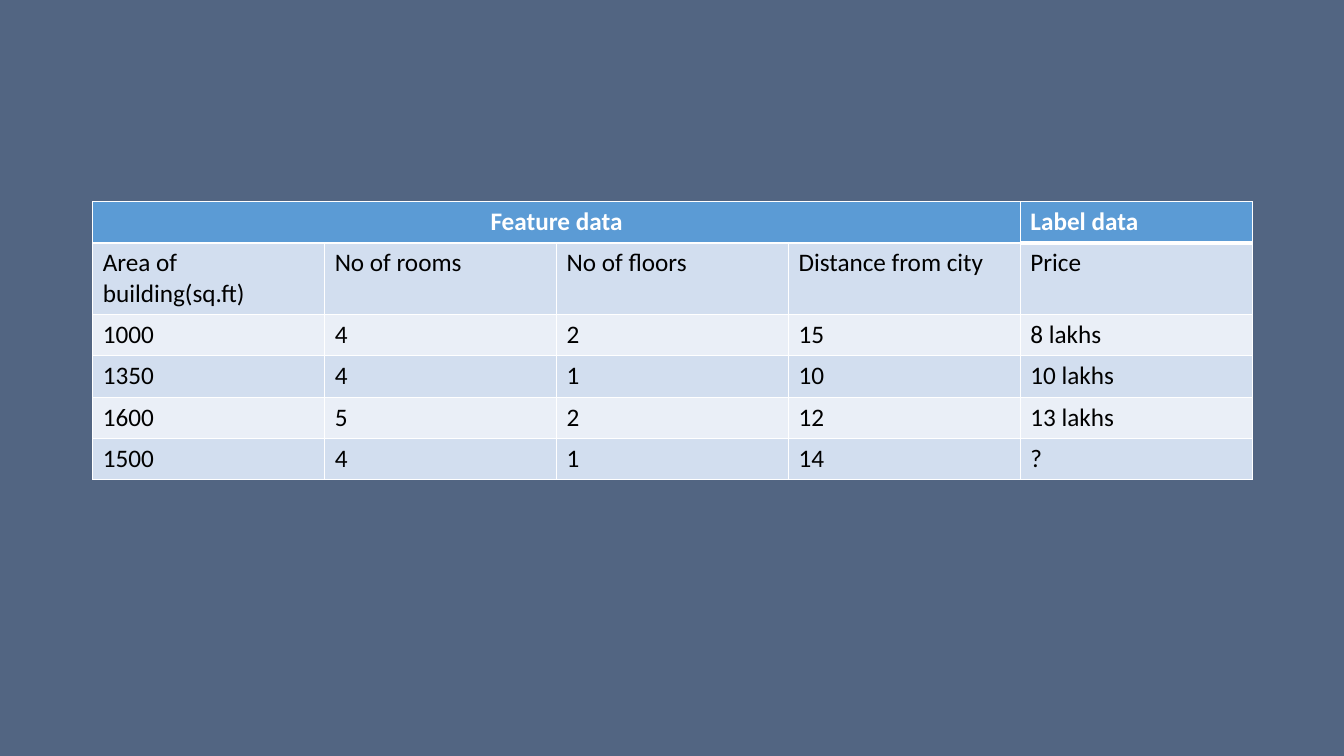
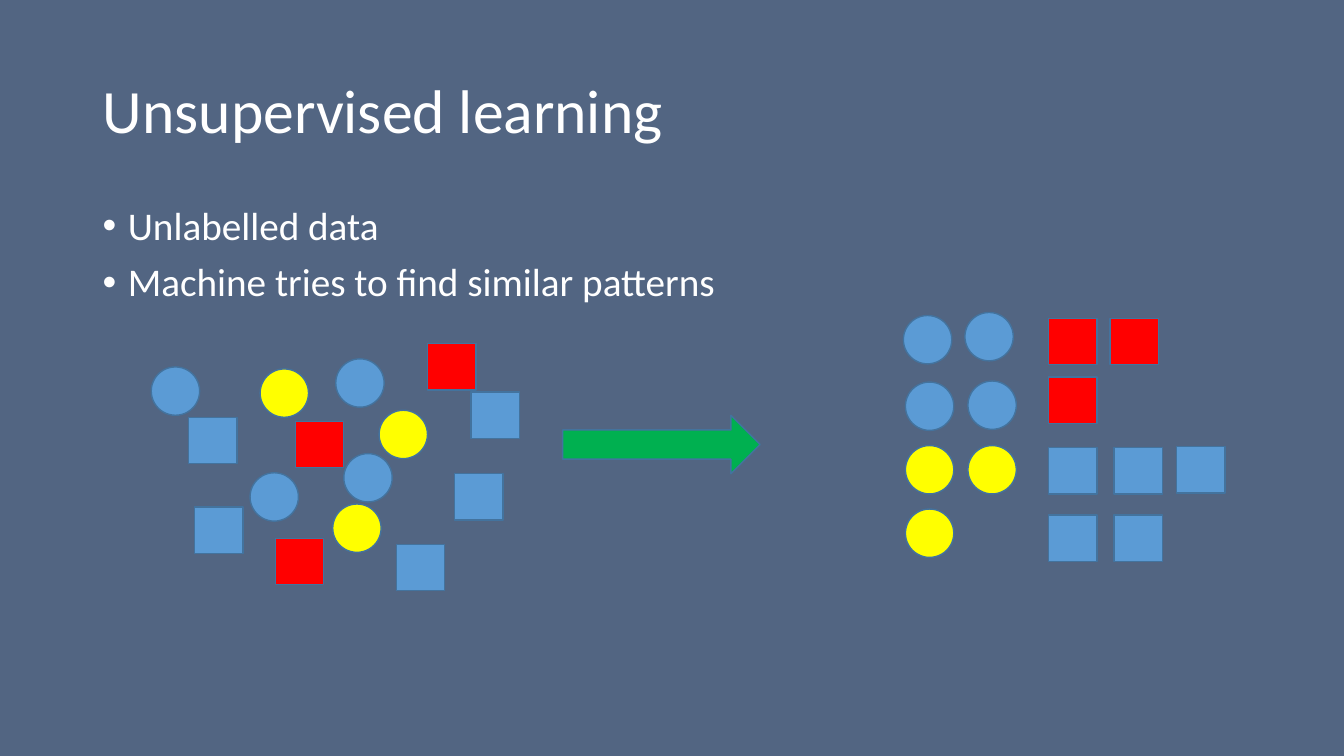
"""Build two slides on labelled and unlabelled data."""
import pptx
import pptx.dml.color
import pptx.enum.shapes
import pptx.enum.text
import pptx.oxml
import pptx.oxml.ns
import pptx.util

Inches = pptx.util.Inches
Pt = pptx.util.Pt
Shape = pptx.enum.shapes.MSO_SHAPE
Align = pptx.enum.text.PP_ALIGN
Anchor = pptx.enum.text.MSO_ANCHOR

FONT = "Calibri"
BACKGROUND, WHITE, BLACK = "526582", "FFFFFF", "000000"
BLUE, YELLOW, RED, GREEN, OUTLINE = "5B9BD5", "FFFF00", "FF0000", "00B050", "43739E"
BANDS = ("EAEFF7", "D2DEEF")
LEFT, WIDTH = 0.92, 11.5
TITLE_ONLY, BLANK = 5, 6

TABLE_ROWS = [
    ["Feature data", "", "", "", "Label data"],
    ["Area of building(sq.ft)", "No of rooms", "No of floors", "Distance from city", "Price"],
    ["1000", "4", "2", "15", "8 lakhs"],
    ["1350", "4", "1", "10", "10 lakhs"],
    ["1600", "5", "2", "12", "13 lakhs"],
    ["1500", "4", "1", "14", "?"],
]
CIRCLE, SQUARE = (Shape.OVAL, 0.48, 0.48), (Shape.RECTANGLE, 0.48, 0.46)
MIXED_ITEMS = [
    (CIRCLE, BLUE, [(1.5, 3.64), (3.33, 3.56), (2.48, 4.69), (3.41, 4.5)]),
    (CIRCLE, YELLOW, [(2.58, 3.66), (3.76, 4.07), (3.3, 5)]),
    (SQUARE, RED, [(4.24, 3.41), (2.93, 4.18), (2.73, 5.34)]),
    (SQUARE, BLUE, [(4.67, 3.89), (3.93, 5.4), (1.93, 5.03), (1.87, 4.14), (4.51, 4.7)]),
]
GROUPED_ITEMS = [
    (CIRCLE, BLUE, [(8.96, 3.13), (9.57, 3.1), (8.98, 3.79), (9.6, 3.78)]),
    (CIRCLE, YELLOW, [(8.98, 4.42), (9.6, 4.42), (8.98, 5.05)]),
    (SQUARE, RED, [(10.4, 3.16), (11.01, 3.16), (10.4, 3.74)]),
    (SQUARE, BLUE, [(10.4, 4.44), (11.05, 4.44), (11.67, 4.43), (10.4, 5.11), (11.05, 5.11)]),
]


def color(value):
    """Return the colour for a hex string."""
    return pptx.dml.color.RGBColor.from_string(value)


def set_formats(target, values):
    """Set each attribute named in a dict of format values."""
    for name, value in values.items():
        setattr(target, name, value)


def inches(*lengths):
    """Convert several lengths in inches."""
    return [Inches(length) for length in lengths]


class Deck:
    """Holds the shared style and the current page."""

    def __init__(self):
        """Start a wide deck with the shared background."""
        self.deck = pptx.Presentation()
        set_formats(self.deck, {"slide_width": Inches(13.33), "slide_height": Inches(7.5)})
        fill = self.deck.slide_master.background.fill
        fill.solid()
        fill.fore_color.rgb = color(BACKGROUND)
        self.page = None

    def add_page(self, layout):
        """Add a page and make it the current one."""
        self.page = self.deck.slides.add_slide(self.deck.slide_layouts[layout])

    def add_text(self, para, text, size, shade=WHITE, bold=False, **formats):
        """Put one run in a paragraph and format both."""
        set_formats(para, formats)
        span = para.add_run()
        span.text = text
        set_formats(span.font, {"name": FONT, "size": Pt(size), "bold": bold})
        span.font.color.rgb = color(shade)

    def title(self, text):
        """Place and fill the title placeholder."""
        box = self.page.shapes.title
        edges = ("left", "top", "width", "height")
        set_formats(box, dict(zip(edges, inches(LEFT, 0.4, WIDTH, 1.45))))
        box.text_frame.vertical_anchor = Anchor.MIDDLE
        self.add_text(box.text_frame.paragraphs[0], text, 44,
                      alignment=Align.LEFT, line_spacing=0.9)

    def bullets(self, lines):
        """Add the bulleted body text."""
        box = self.page.shapes.add_textbox(*inches(LEFT, 2, WIDTH, 4.76))
        frame = box.text_frame
        frame.word_wrap = True
        for index, line in enumerate(lines):
            para = frame.add_paragraph() if index else frame.paragraphs[0]
            self.add_text(para, line, 28, line_spacing=0.9, space_before=Pt(10))
            properties = para._p.get_or_add_pPr()
            properties.set("marL", str(Inches(0.25)))
            properties.set("indent", str(Inches(-0.25)))
            for tag, name, value in (("buFont", "typeface", "Arial"), ("buChar", "char", "•")):
                bullet = properties.makeelement(pptx.oxml.ns.qn("a:" + tag), {name: value})
                properties.append(bullet)

    def shape(self, kind, left, top, width, height, fill):
        """Add one outlined preset shape."""
        item = self.page.shapes.add_shape(kind, *inches(left, top, width, height))
        item.shadow.inherit = False
        item.fill.solid()
        item.fill.fore_color.rgb = color(fill)
        item.line.color.rgb = color(OUTLINE)
        item.line.width = Pt(1)

    def items(self, families):
        """Add each family of like shapes at its places."""
        for (kind, width, height), fill, places in families:
            for left, top in places:
                self.shape(kind, left, top, width, height, fill)

    def border(self, cell, side, width):
        """Draw one white cell edge: L, R, T or B."""
        cell._tc.get_or_add_tcPr().append(pptx.oxml.parse_xml(
            f'<a:ln{side} xmlns:a="http://schemas.openxmlformats.org/drawingml/2006/main" '
            f'w="{Pt(width)}"><a:solidFill><a:srgbClr val="{WHITE}"/></a:solidFill></a:ln{side}>'))

    def table(self, rows, top, row_height):
        """Add a banded table whose header spans all columns but the last."""
        last = len(rows[0]) - 1
        frame = self.page.shapes.add_table(
            len(rows), last + 1, *inches(LEFT, top, WIDTH, row_height * len(rows)))
        grid = frame.table
        grid.cell(0, 0).merge(grid.cell(0, last - 1))
        for row, texts in enumerate(rows):
            header = row == 0
            for column, text in enumerate(texts):
                cell = grid.cell(row, column)
                for side in "LRTB" if header else "LRB":
                    heavy = header and column == last and side == "B"
                    self.border(cell, side, 3 if heavy else 1)
                cell.fill.solid()
                cell.fill.fore_color.rgb = color(BLUE if header else BANDS[row % 2])
                if text:
                    centred = header and column == 0
                    self.add_text(cell.text_frame.paragraphs[0], text, 18,
                                  WHITE if header else BLACK, header,
                                  alignment=Align.CENTER if centred else Align.LEFT)


def main():
    """Build and save both slides."""
    deck = Deck()

    deck.add_page(BLANK)
    deck.table(TABLE_ROWS, 2, 0.41)

    deck.add_page(TITLE_ONLY)
    deck.title("Unsupervised learning")
    deck.bullets(["Unlabelled data", "Machine tries to find similar patterns"])
    deck.items(MIXED_ITEMS)
    deck.shape(Shape.RIGHT_ARROW, 5.58, 4.12, 1.96, 0.58, GREEN)
    deck.items(GROUPED_ITEMS)

    deck.deck.save("out.pptx")


main()
